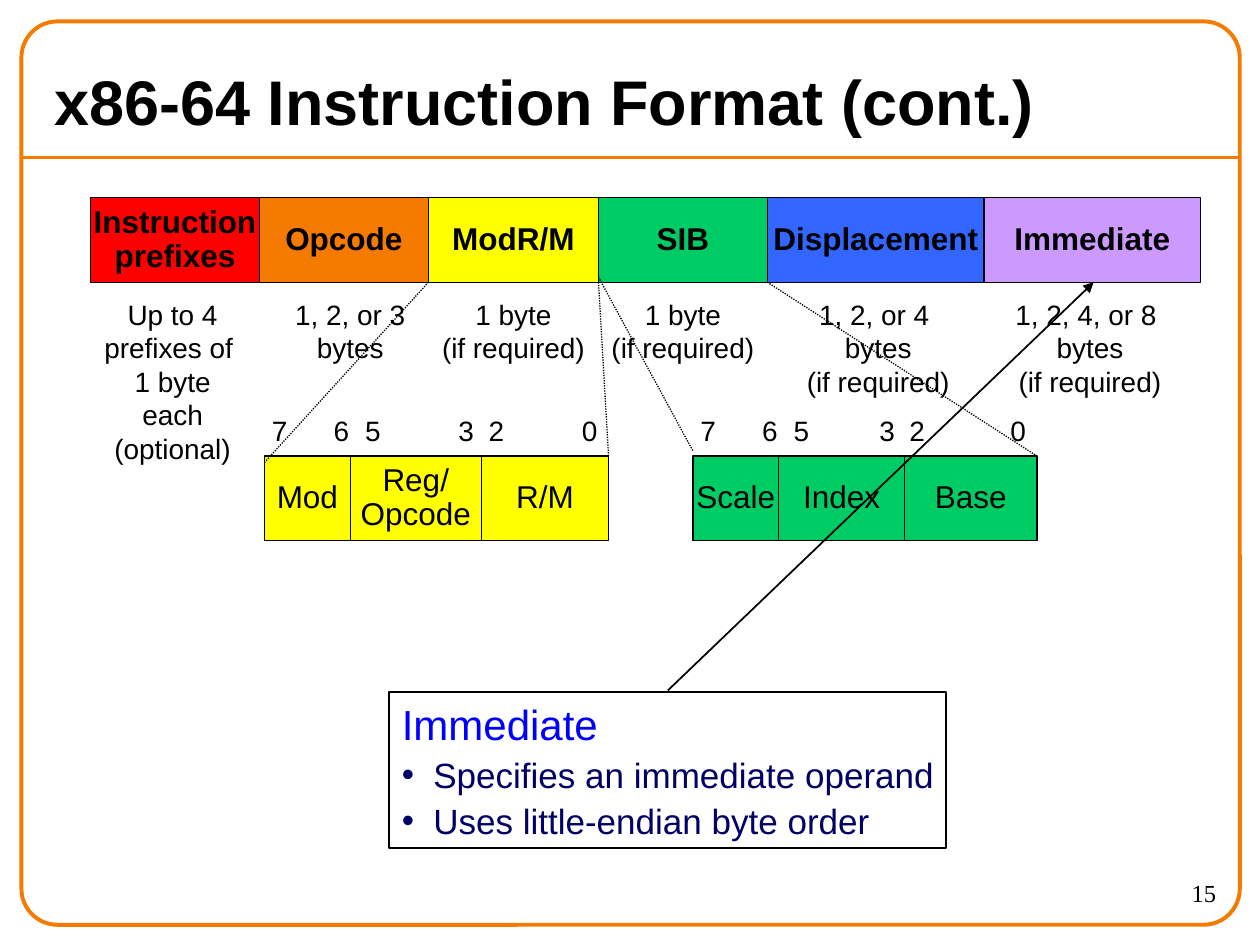
from dataclasses import dataclass
from itertools import pairwise

import pptx
import pptx.dml.color
import pptx.enum.dml
import pptx.enum.shapes
import pptx.enum.text
import pptx.oxml
import pptx.util
from pptx.util import Inches

ALIGN = pptx.enum.text.PP_ALIGN
ANCHOR = pptx.enum.text.MSO_ANCHOR
SHAPE = pptx.enum.shapes.MSO_SHAPE
NS = 'xmlns:a="http://schemas.openxmlformats.org/drawingml/2006/main"'


@dataclass(frozen=True)
class Theme:
    font: str = "Arial"
    number_font: str = "Times New Roman"
    black: str = "000000"
    orange: str = "F47A00"
    red: str = "FF0000"
    yellow: str = "FFFF00"
    green: str = "00CC66"
    blue: str = "3366FF"
    violet: str = "CC99FF"
    heading: str = "0000FF"
    body: str = "000066"
    title_size: int = 36
    heading_size: int = 24
    body_size: int = 20
    field_size: int = 18
    note_size: int = 16
    number_size: int = 14
    frame_line: float = 2.25
    thin_line: float = 0.75
    callout_line: float = 1


T = Theme()


def rgb(value):
    return pptx.dml.color.RGBColor.from_string(value)


def xml(text):
    return pptx.oxml.parse_xml(text)


def write(tf, text, size=T.note_size, color=T.black, font=T.font, bold=False,
          align=ALIGN.LEFT, anchor=ANCHOR.TOP, wrap=False, spacing=None,
          before=0, bullet=False, tabs=(), append=False):
    tf.word_wrap = wrap
    tf.vertical_anchor = anchor
    for i, line in enumerate(text.split("\n")):
        p = tf.add_paragraph() if append or i else tf.paragraphs[0]
        p.alignment = align
        p.line_spacing = spacing
        p.space_before = pptx.util.Pt(before)
        pPr = p._p.get_or_add_pPr()
        if bullet:
            pPr.set("marL", str(Inches(0.25)))
            pPr.set("indent", str(-Inches(0.25)))
            pPr.append(xml(f'<a:buFont {NS} typeface="{T.font}"/>'))
            pPr.append(xml(f'<a:buChar {NS} char="•"/>'))
        if tabs:
            stops = "".join(f'<a:tab pos="{Inches(t)}" algn="l"/>' for t in tabs)
            pPr.append(xml(f"<a:tabLst {NS}>{stops}</a:tabLst>"))
        r = p.add_run()
        r.text = line
        r.font.name = font
        r.font.size = pptx.util.Pt(size)
        r.font.bold = bold
        r.font.color.rgb = rgb(color)


def add_text(s, x, y, w, h, text, **fmt):
    sp = s.shapes.add_textbox(Inches(x), Inches(y), Inches(w), Inches(h))
    write(sp.text_frame, text, **fmt)


def add_box(s, x, y, w, h, fill=None, line=T.black, weight=T.thin_line,
            shape=SHAPE.RECTANGLE):
    sp = s.shapes.add_shape(shape, Inches(x), Inches(y), Inches(w), Inches(h))
    sp.shadow.inherit = False
    if fill:
        sp.fill.solid()
        sp.fill.fore_color.rgb = rgb(fill)
    else:
        sp.fill.background()
    sp.line.color.rgb = rgb(line)
    sp.line.width = pptx.util.Pt(weight)
    return sp


def add_line(s, start, end, color=T.black, weight=T.thin_line, dotted=False,
             arrow=False):
    sp = s.shapes.add_connector(pptx.enum.shapes.MSO_CONNECTOR.STRAIGHT,
                                *map(Inches, start + end))
    sp.line.color.rgb = rgb(color)
    sp.line.width = pptx.util.Pt(weight)
    if dotted:
        sp.line.dash_style = pptx.enum.dml.MSO_LINE.ROUND_DOT
    if arrow:
        sp.line._get_or_add_ln().append(xml(f'<a:tailEnd {NS} type="triangle"/>'))
    sp._element.spPr.append(xml(f"<a:effectLst {NS}/>"))


def add_frame(s, x, y, w, h, number):
    add_line(s, (x, 1.25), (x + w, 1.25), T.orange, T.frame_line)
    sp = add_box(s, x, y, w, h, line=T.orange, weight=T.frame_line,
                 shape=SHAPE.ROUNDED_RECTANGLE)
    sp.adjustments[0] = 0.04
    add_text(s, 8.75, 6.92, 1, 0.42, number, size=T.number_size,
             font=T.number_font, align=ALIGN.RIGHT, wrap=True)


def add_title(s, x, y, w, h, text):
    sp = s.shapes.title
    sp.left, sp.top, sp.width, sp.height = map(Inches, (x, y, w, h))
    sp.text_frame.auto_size = pptx.enum.text.MSO_AUTO_SIZE.NONE
    write(sp.text_frame, text, size=T.title_size, bold=True,
          anchor=ANCHOR.MIDDLE, wrap=True)


def add_fields(s, edges, y, h, labels, fills, bold=False):
    for (left, right), label, fill in zip(pairwise(edges), labels, fills):
        sp = add_box(s, left, y, right - left, h, fill)
        write(sp.text_frame, label, size=T.field_size, bold=bold, spacing=0.9,
              align=ALIGN.CENTER, anchor=ANCHOR.MIDDLE)


def add_notes(s, edges, y, notes):
    for (left, right), (text, shift) in zip(pairwise(edges), notes):
        h = 0.1 + 0.27 * (text.count("\n") + 1)
        add_text(s, left + shift, y, right - left, h, text, align=ALIGN.CENTER)


def add_byte(s, edges, y, h, labels, fill, tabs):
    add_fields(s, edges, y, h, labels, [fill] * len(labels))
    add_text(s, edges[0] - 0.04, y - 0.39, 2.79, 0.37,
             "\t".join("765320"), tabs=tabs, wrap=True)


def add_callout(s, x, y, w, h, heading, points):
    tf = add_box(s, x, y, w, h, weight=T.callout_line).text_frame
    write(tf, heading, size=T.heading_size, color=T.heading, anchor=ANCHOR.MIDDLE)
    write(tf, "\n".join(points), size=T.body_size, color=T.body,
          anchor=ANCHOR.MIDDLE, before=2.5, bullet=True, append=True)


def main():
    prs = pptx.Presentation()
    prs.slide_width, prs.slide_height = Inches(10), Inches(7.5)
    s = prs.slides.add_slide(prs.slide_layouts[5])

    add_frame(s, 0.17, 0.17, 9.67, 7.17, "15")
    add_title(s, 0.33, 0.42, 9.33, 0.75, "x86-64 Instruction Format (cont.)")

    height = 0.67
    top, byte_top = 1.57, 3.62
    bottom = top + height
    edges = [0.72, 2.06, 3.4, 4.75, 6.09, 7.81, 9.53]
    modrm = [2.1, 2.78, 3.82, 4.83]
    sib = [5.5, 6.18, 7.18, 8.23]

    add_fields(s, edges, top, height,
               ["Instruction\nprefixes", "Opcode", "ModR/M", "SIB",
                "Displacement", "Immediate"],
               [T.red, T.orange, T.yellow, T.green, T.blue, T.violet], bold=True)
    add_notes(s, edges, 2.31,
              [("Up to 4\nprefixes of \n1 byte each\n(optional)", -0.02),
               ("1, 2, or 3\nbytes", 0.05),
               ("1 byte\n(if required)", 0),
               ("1 byte\n(if required)", 0),
               ("1, 2, or 4 \nbytes\n(if required)", 0.02),
               ("1, 2, 4, or 8 \nbytes\n(if required)", -0.02)])

    add_byte(s, modrm, byte_top, height, ["Mod", "Reg/\nOpcode", "R/M"],
             T.yellow, (0.49, 0.74, 1.48, 1.72, 2.46))
    add_byte(s, sib, byte_top, height, ["Scale", "Index", "Base"],
             T.green, (0.49, 0.74, 1.42, 1.66, 2.46))

    for start, end in [((edges[2], bottom), (modrm[0], byte_top + 0.05)),
                       ((edges[3], bottom), (modrm[-1], byte_top)),
                       ((edges[3], bottom - 0.04), (sib[0], byte_top - 0.04)),
                       ((edges[4], bottom), (sib[-1], byte_top))]:
        add_line(s, start, end, dotted=True)

    add_callout(s, 3.09, 5.49, 4.42, 1.24, "Immediate",
                ["Specifies an immediate operand", "Uses little-endian byte order"])
    add_line(s, (5.3, 5.48), (8.68, bottom), weight=T.callout_line, arrow=True)

    prs.save("out.pptx")


if __name__ == "__main__":
    main()
